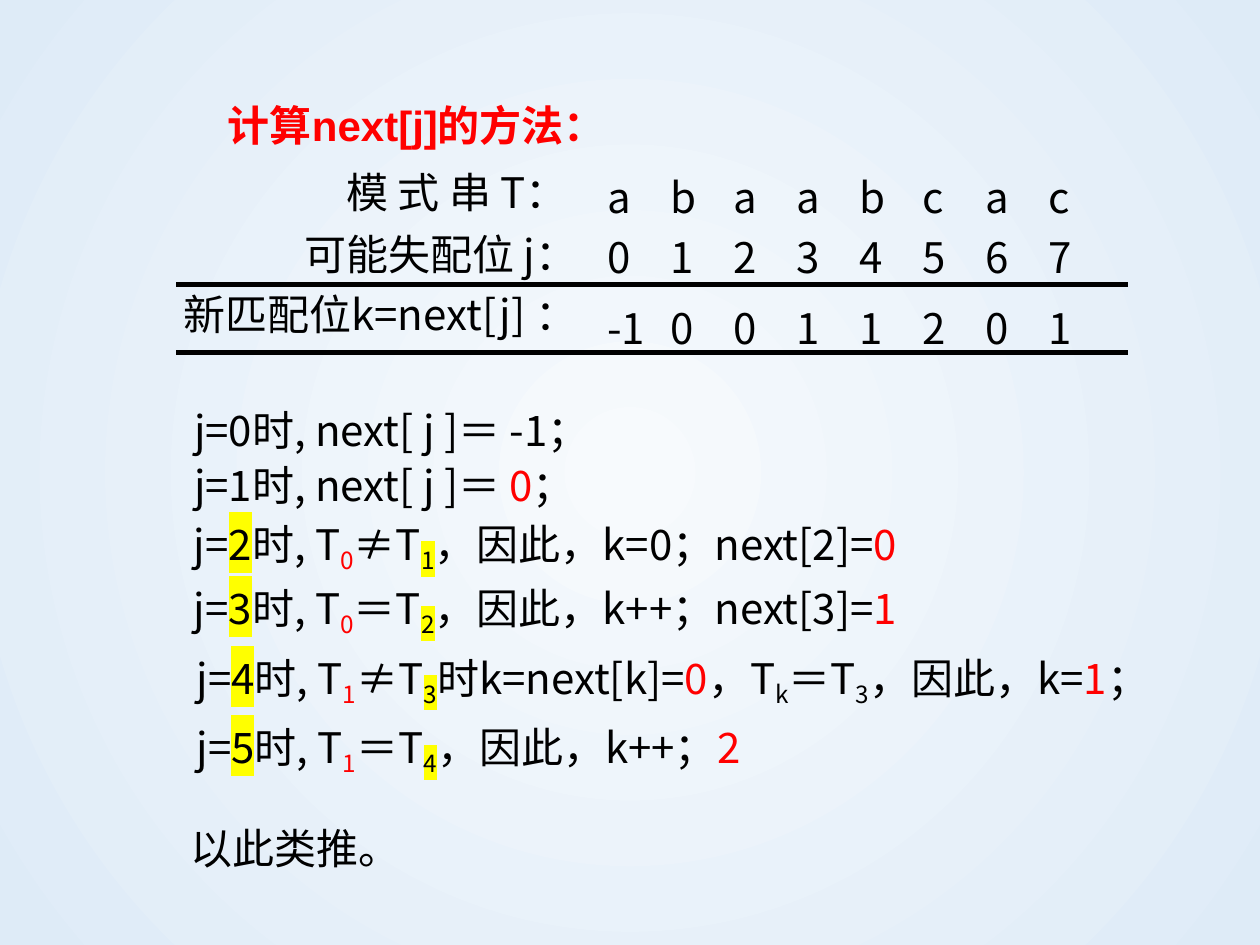
from lxml import etree
from pptx import Presentation
from pptx.dml.color import RGBColor
from pptx.enum.shapes import MSO_CONNECTOR as CONNECTOR
from pptx.enum.text import MSO_AUTO_SIZE as AUTO_SIZE, PP_ALIGN as ALIGN
from pptx.oxml.ns import qn
from pptx.util import Inches, Pt

COLORS = {"ink": "000000", "red": "FF0000", "mark": "FFFF00",
          "center": "F7FAFD", "edge": "DEEBF7"}
CJK, LATIN = "Noto Sans CJK SC", "Arial"
SIZE = Pt(24)


def sub(parent, tag, **attributes):
    return etree.SubElement(parent, qn(tag), **attributes)


def paint_background(slide):
    fill = slide.background.fill
    fill.gradient()
    for stop, name in zip(fill.gradient_stops, ("center", "edge")):
        stop.color.rgb = RGBColor.from_string(COLORS[name])
    linear = slide._element.find(".//" + qn("a:lin"))
    radial = etree.Element(qn("a:path"), path="circle")
    sub(radial, "a:fillToRect", l="50000", t="50000", r="50000", b="50000")
    linear.getparent().replace(linear, radial)


def add_frame(slide, left, top, width, height):
    frame = slide.shapes.add_textbox(
        Inches(left), Inches(top), Inches(width), Inches(height)).text_frame
    frame.margin_left = frame.margin_right = 0
    frame.margin_top = frame.margin_bottom = 0
    frame.word_wrap = True
    frame.auto_size = AUTO_SIZE.SHAPE_TO_FIT_TEXT
    return frame


def write_line(frame, index, runs, margin=0.01, indent=0, leading=None,
               before=0, align=None, tabs=()):
    """Style letters: r red, h highlighted, s subscript, b bold, l Latin font."""
    line = frame.add_paragraph() if index else frame.paragraphs[0]
    props = line._p.get_or_add_pPr()
    props.set("marL", str(Inches(margin)))
    props.set("indent", str(Inches(indent)))
    if tabs:
        tab_list = sub(props, "a:tabLst")
        for stop in tabs:
            sub(tab_list, "a:tab", pos=str(Inches(stop)), algn="l")
    line.alignment = align
    line.line_spacing = leading
    line.space_before = Pt(before)
    for text, style in runs:
        run = line.add_run()
        run.text = text
        font = run.font
        font.size = SIZE
        font.bold = "b" in style
        font.name = LATIN if "l" in style else CJK
        font.color.rgb = RGBColor.from_string(COLORS["red" if "r" in style else "ink"])
        run_props = run._r.get_or_add_rPr()
        sub(run_props, "a:ea", typeface=CJK)
        if "s" in style:
            run_props.set("baseline", "-21000")
        if "h" in style:
            highlight = etree.Element(qn("a:highlight"))
            sub(highlight, "a:srgbClr", val=COLORS["mark"])
            run_props.find(qn("a:solidFill")).addnext(highlight)


def add_title(slide, left, top, width, height):
    frame = add_frame(slide, left, top, width, height)
    write_line(frame, 0, [("计算", "rb"), ("next[j]", "rbl"), ("的方法：", "rb")],
               leading=Pt(28.6))


def add_next_table(slide, left, top, width):
    # Row labels
    labels = add_frame(slide, left, top, 3.64, 1.48)
    for index, label in enumerate(("模 式 串 T： ", "可能失配位 j：")):
        write_line(labels, index, [(label, "")], 0.85, 0.33, 1.23, align=ALIGN.RIGHT)
    write_line(labels, 2, [("新匹配位k=next[j] ：", "")], before=5.7, align=ALIGN.RIGHT)

    # Pattern, mismatch positions and next values
    values_left = left + 3.84
    pattern = add_frame(slide, values_left, top + 0.05, 4.77, 0.97)
    for index, (row, pitch) in enumerate((("abaabcac", 0.49), ("01234567", 0.485))):
        stops = [0.04 + pitch * column for column in range(1, len(row))]
        write_line(pattern, index, [("\t".join(row), "")], 0.04, leading=1.2, tabs=stops)
    next_values = add_frame(slide, values_left, top + 1.09, 4.37, 0.48)
    write_line(next_values, 0, [("\t".join("-1 0 0 1 1 2 0 1".split()), "")], 0.04,
               leading=1.2, tabs=(0.52, 1.01, 1.5, 1.98, 2.38, 2.87, 3.35))

    # Rules above and below the next values
    for rule_top in (top + 1.03, top + 1.57):
        rule = slide.shapes.add_connector(
            CONNECTOR.STRAIGHT, Inches(left + 0.46), Inches(rule_top),
            Inches(left + width), Inches(rule_top))
        rule.line.width = Pt(3)
        rule.line.color.rgb = RGBColor.from_string(COLORS["ink"])
        sub(rule._element.spPr, "a:effectLst")


def add_steps(slide, left, top, width, height):
    def case(j, first, relation, second, *rest):
        return [("j=", ""), (j, "h"), ("时, T", ""), (first, "rs"),
                (relation + "T", ""), (second, "hs"), *rest]

    base = dict(margin=0.04, leading=1.1)
    early = dict(margin=0.06, indent=-0.02, leading=Pt(35.3), before=1.4)
    late = dict(indent=0.05, before=7.9)
    steps = [
        ([("j=0时, next[ j ]＝ -1；", "")], base),
        ([("j=1时, next[ j ]＝ ", ""), ("0", "r"), ("；", "")], base),
        (case("2", "0", "≠", "1", ("，因此，k=0；next[2]=", ""), ("0", "r")), early),
        (case("3", "0", "＝", "2", ("，因此，k++；next[3]=", ""), ("1", "r")), early),
        (case("4", "1", "≠", "3", ("时k=next[k]=", ""), ("0", "r"), ("，T", ""),
              ("k", "s"), ("＝T", ""), ("3", "s"), ("，因此，k=", ""),
              ("1", "r"), ("；", "")), late),
        (case("5", "1", "＝", "4", ("，因此，k++；", ""), ("2", "r")), late),
        ([("以此类推。", "")], dict(leading=Pt(28.4), before=26)),
    ]
    frame = add_frame(slide, left, top, width, height)
    for index, (runs, layout) in enumerate(steps):
        write_line(frame, index, runs, **layout)


def main():
    deck = Presentation()
    deck.slide_width, deck.slide_height = Inches(10), Inches(7.5)
    slide = deck.slides.add_slide(deck.slide_layouts[6])
    paint_background(slide)
    add_title(slide, 1.8, 0.79, 3.04, 0.35)
    add_next_table(slide, 0.94, 1.23, 8.01)
    add_steps(slide, 1.5, 3.17, 7.76, 3.71)
    deck.save("out.pptx")


if __name__ == "__main__":
    main()
